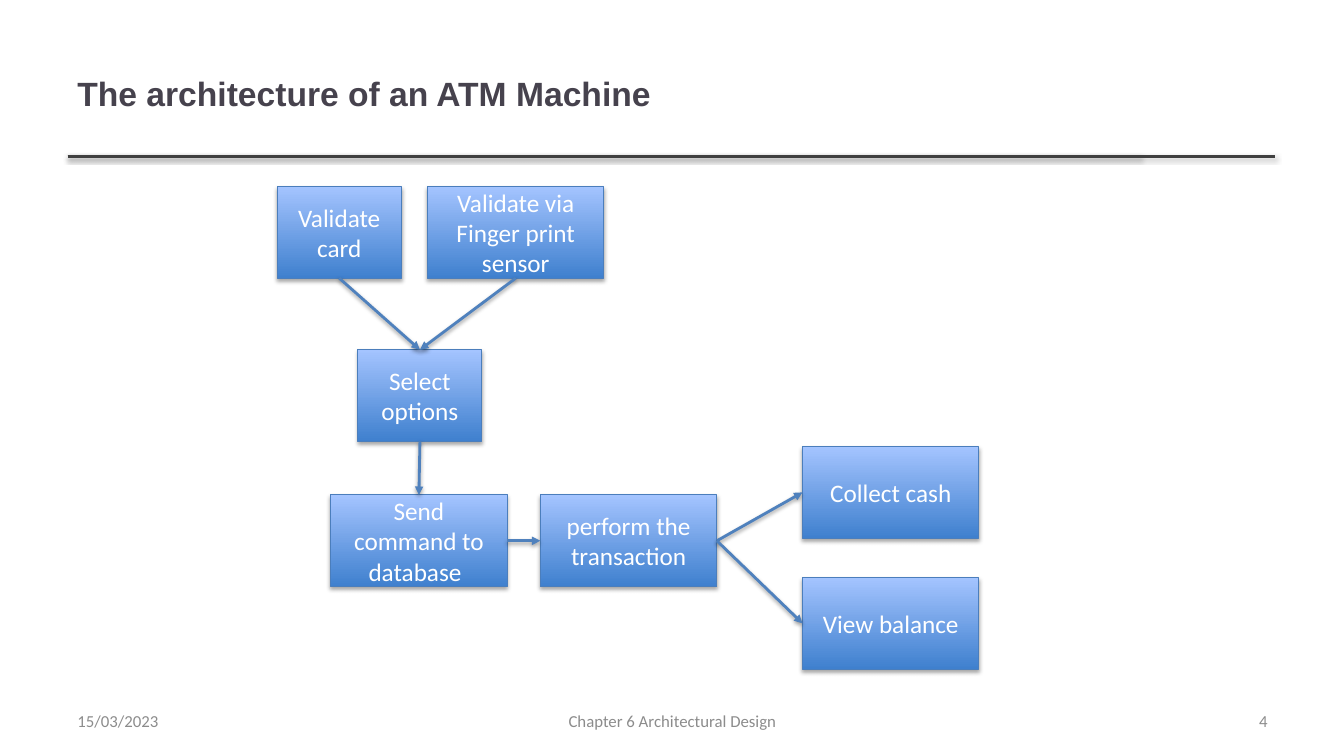
from lxml import etree
from pptx import Presentation
from pptx.dml.color import RGBColor
from pptx.enum.shapes import MSO_CONNECTOR, MSO_SHAPE
from pptx.enum.text import MSO_ANCHOR, PP_ALIGN
from pptx.oxml import parse_xml
from pptx.oxml.ns import qn
from pptx.util import Inches, Pt

RECT = MSO_SHAPE.RECTANGLE
STRAIGHT = MSO_CONNECTOR.STRAIGHT
MIDDLE = MSO_ANCHOR.MIDDLE
LEFT, CENTER, RIGHT = PP_ALIGN.LEFT, PP_ALIGN.CENTER, PP_ALIGN.RIGHT
TOP_SIDE, LEFT_SIDE, BOTTOM_SIDE, RIGHT_SIDE = range(4)

COLORS = {
    "title": "46424D", "footer": "8C8C8C", "rule": "404040", "arrow": "4F81BD",
    "box_line": "4B7EBC", "box_dark": "3F80CE", "box_light": "A4C4FF",
    "box_text": "FFFFFF", "shadow": "000000",
}


def rgb(name):
    return RGBColor.from_string(COLORS[name])


def write_text(tf, text, size=18, color="box_text", font="Calibri", bold=False, align=CENTER):
    tf.word_wrap = True
    tf.vertical_anchor = MIDDLE
    p = tf.paragraphs[0]
    p.alignment = align
    r = p.add_run()
    r.text = text
    r.font.size = Pt(size)
    r.font.name = font
    r.font.bold = bold
    r.font.color.rgb = rgb(color)


def add_shadow(shape, alpha, distance):
    shape._element.spPr.append(parse_xml(
        '<a:effectLst xmlns:a="http://schemas.openxmlformats.org/drawingml/2006/main">'
        f'<a:outerShdw blurRad="{Pt(3.1)}" dist="{Pt(distance)}" dir="5400000" rotWithShape="0">'
        f'<a:srgbClr val="{COLORS["shadow"]}"><a:alpha val="{alpha * 1000}"/></a:srgbClr>'
        '</a:outerShdw></a:effectLst>'))


class FlowSlide:
    """Draws flow chart elements on one slide in a shared style."""

    def __init__(self, slide):
        self.s = slide
        self.box_height = 0.91
        self.line_width = Pt(2)

    def text(self, text, x, y, w, h, **style):
        sp = self.s.shapes.add_textbox(Inches(x), Inches(y), Inches(w), Inches(h))
        write_text(sp.text_frame, text, **style)

    def line(self, x1, y1, x2, y2, color):
        c = self.s.shapes.add_connector(STRAIGHT, Inches(x1), Inches(y1), Inches(x2), Inches(y2))
        c.line.color.rgb = rgb(color)
        c.line.width = self.line_width
        add_shadow(c, 38, 1.6)
        return c

    def arrow(self, start, start_side, end, end_side):
        c = self.line(0, 0, 0, 0, "arrow")
        c.begin_connect(start, start_side)
        c.end_connect(end, end_side)
        etree.SubElement(c.line._get_or_add_ln(), qn("a:tailEnd"), type="triangle")

    def box(self, text, x, y, w):
        sp = self.s.shapes.add_shape(RECT, Inches(x), Inches(y), Inches(w), Inches(self.box_height))
        sp.fill.gradient()
        sp.fill.gradient_angle = 90
        for stop, color in zip(sp.fill.gradient_stops, ("box_dark", "box_light")):
            stop.color.rgb = rgb(color)
        sp.line.color.rgb = rgb("box_line")
        sp.line.width = Pt(0.75)
        add_shadow(sp, 35, 1.8)
        write_text(sp.text_frame, text)
        return sp


def main():
    prs = Presentation()
    prs.slide_width, prs.slide_height = Inches(13.33), Inches(7.5)
    flow = FlowSlide(prs.slides.add_slide(prs.slide_layouts[6]))

    for rule_end in (11.32, 12.65):
        flow.line(0.67, 1.55, rule_end, 1.55, "rule")
    flow.text("The architecture of an ATM Machine", 0.67, 0.3, 10.63, 1.25,
              size=24, color="title", font="Arial", bold=True, align=LEFT)
    for text, x, w, align in (
        ("15/03/2023", 0.67, 3.11, LEFT),
        ("Chapter 6 Architectural Design", 4.56, 4.22, CENTER),
        ("4", 9.56, 3.11, RIGHT),
    ):
        flow.text(text, x, 6.95, w, 0.4, size=12, color="footer", align=align)

    narrow, wide = 1.23, 1.75
    card = flow.box("Validate card", 2.75, 1.85, narrow)
    finger = flow.box("Validate via Finger print sensor", 4.24, 1.85, wide)
    options = flow.box("Select options", 3.55, 3.47, narrow)
    command = flow.box("Send command to database\t", 3.28, 4.91, wide)
    transaction = flow.box("perform the transaction", 5.36, 4.91, wide)
    cash = flow.box("Collect cash", 7.96, 4.43, wide)
    balance = flow.box("View balance", 7.96, 5.73, wide)

    for start, end in ((card, options), (finger, options), (options, command)):
        flow.arrow(start, BOTTOM_SIDE, end, TOP_SIDE)
    for start, end in ((command, transaction), (transaction, cash), (transaction, balance)):
        flow.arrow(start, RIGHT_SIDE, end, LEFT_SIDE)

    prs.save("out.pptx")


if __name__ == "__main__":
    main()
